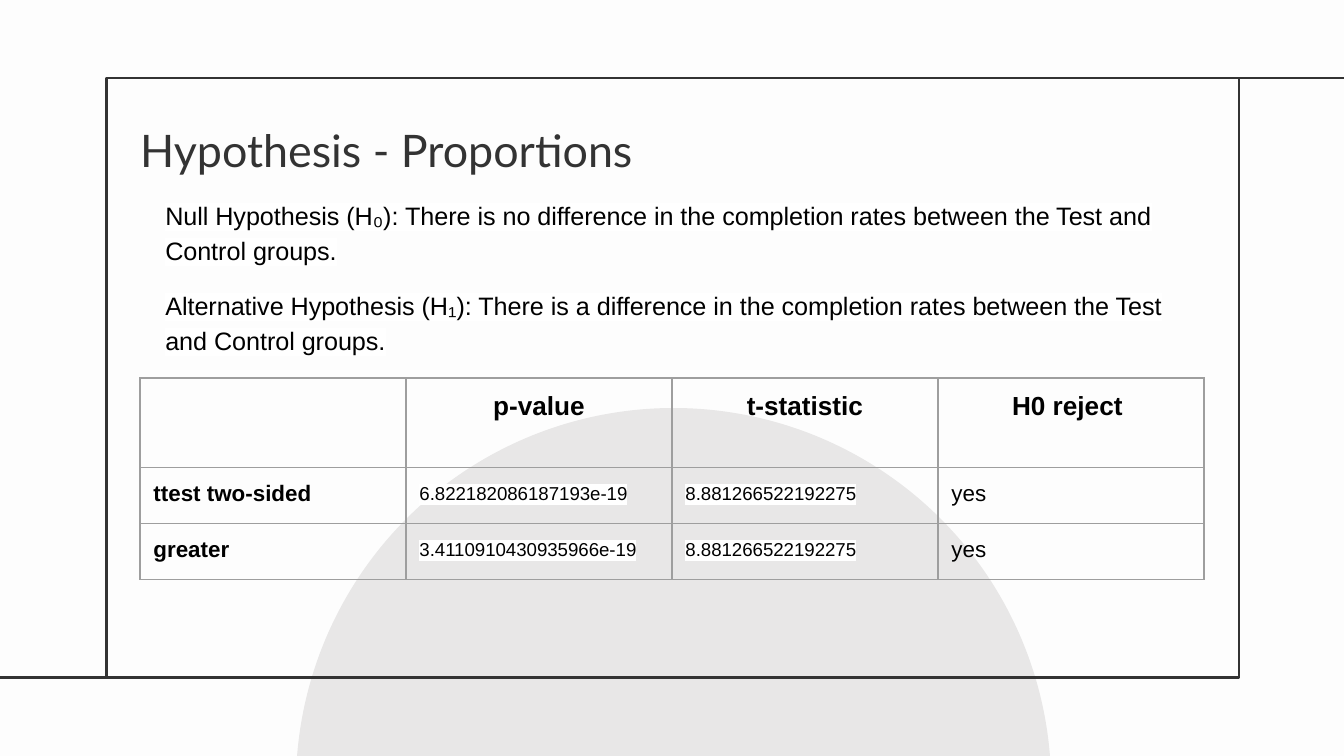
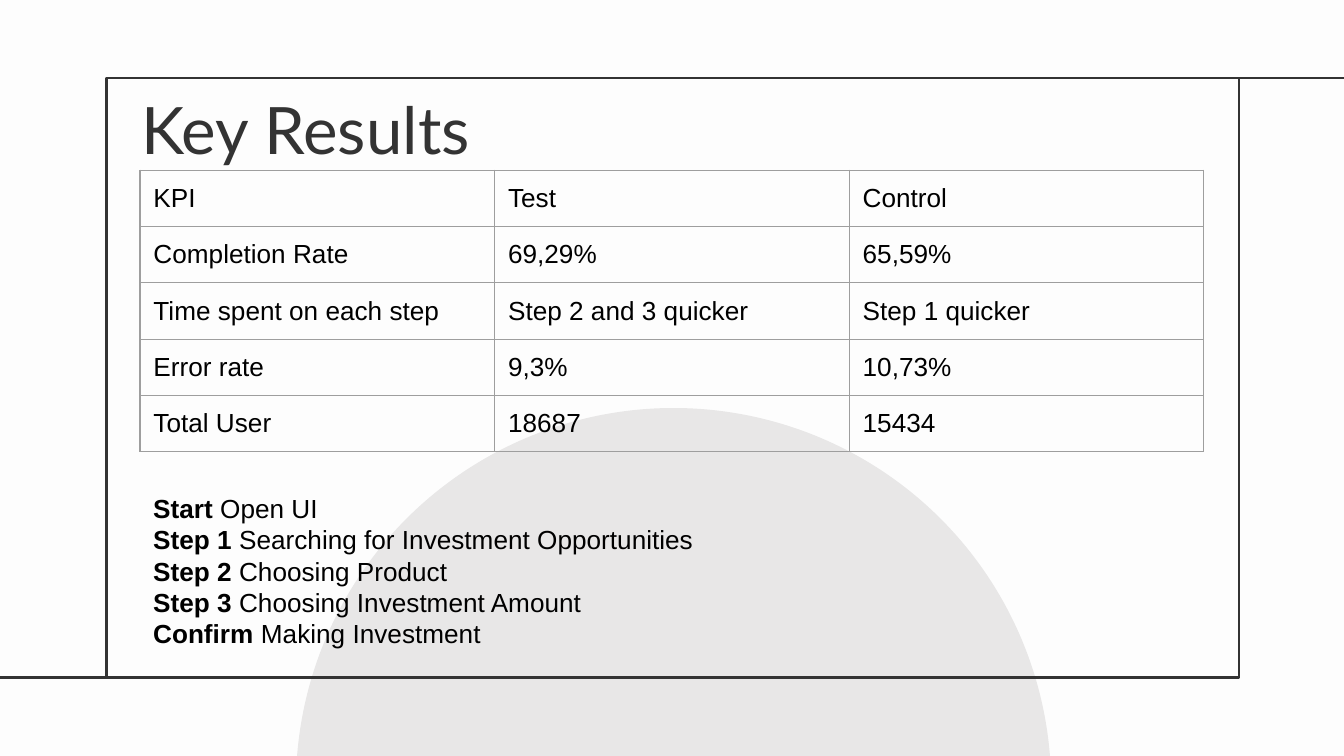
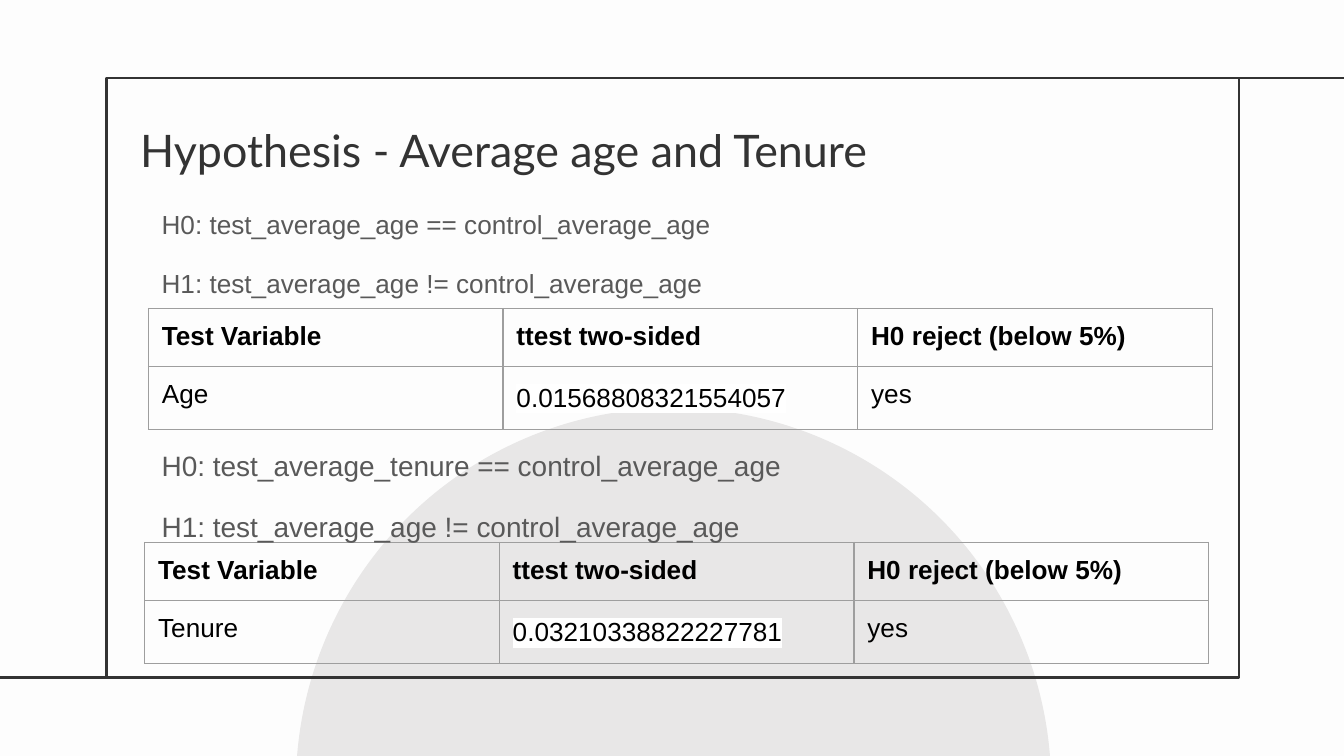
from lxml.etree import SubElement
from pptx import Presentation
from pptx.dml.color import RGBColor
from pptx.enum.shapes import MSO_CONNECTOR, MSO_SHAPE
from pptx.enum.text import MSO_AUTO_SIZE, PP_ALIGN
from pptx.oxml.ns import qn
from pptx.util import Pt

PAPER = RGBColor(0xFD, 0xFD, 0xFD)
CIRCLE = RGBColor(0xE8, 0xE7, 0xE7)
INK = RGBColor(0x33, 0x33, 0x33)
BLACK = RGBColor(0x00, 0x00, 0x00)
GRAY = RGBColor(0x59, 0x59, 0x59)
GRID = RGBColor(0x9E, 0x9E, 0x9E)
WHITE = RGBColor(0xFF, 0xFF, 0xFF)

WIDTH, HEIGHT = 720, 405
LEFT, TOP, RIGHT, BOTTOM = 57.2, 41.8, 663.8, 362.8
TABLE_WIDTH = 570
INSET = 7.2


def write(tf, lines, size=14, color=BLACK, font="Arial", bold=False,
          highlight=None, align=PP_ALIGN.LEFT, spacing=None, before=0, after=0):
    """Fill a text frame; a (lead, rest) line gets a bold lead.

    The gaps before and after apply to every line but the first.
    """
    tf.word_wrap = True
    for i, line in enumerate(lines):
        p = tf.add_paragraph() if i else tf.paragraphs[0]
        p.alignment = align
        p.line_spacing = spacing
        if i:
            p.space_before, p.space_after = Pt(before), Pt(after)
        runs = [(line, bold)] if isinstance(line, str) else zip(line, (True, False))
        for text, is_bold in runs:
            r = p.add_run()
            r.text = text
            r.font.size, r.font.bold = Pt(size), is_bold
            r.font.color.rgb = color
            if highlight is not None:
                mark = SubElement(r.font._element, qn("a:highlight"))
                SubElement(mark, qn("a:srgbClr"), val=str(highlight))
            r.font.name = font


def add_table(s, x, y, heights, rows, head, body):
    """Draw a ruled table; head formats the first row, body each column below."""
    columns = len(rows[0])
    table = s.shapes.add_table(len(rows), columns, Pt(x), Pt(y),
                               Pt(TABLE_WIDTH), Pt(sum(heights))).table
    table.first_row = table.horz_banding = False
    for column in table.columns:
        column.width = Pt(TABLE_WIDTH / columns)
    for i, (height, row) in enumerate(zip(heights, rows)):
        table.rows[i].height = Pt(height)
        for j, text in enumerate(row):
            cell = table.cell(i, j)
            cell.margin_left = cell.margin_right = Pt(INSET)
            cell.margin_top = cell.margin_bottom = Pt(INSET)
            for side in ("a:lnL", "a:lnR", "a:lnT", "a:lnB"):
                ln = SubElement(cell._tc.get_or_add_tcPr(), qn(side), w=str(Pt(0.75)))
                SubElement(SubElement(ln, qn("a:solidFill")), qn("a:srgbClr"), val=str(GRID))
            cell.fill.background()
            if text:
                write(cell.text_frame, [text], **(body[j] if i else head))


prs = Presentation()
prs.slide_width, prs.slide_height = Pt(WIDTH), Pt(HEIGHT)
fill = prs.slide_master.background.fill
fill.solid()
fill.fore_color.rgb = PAPER

# Circle and frame on every slide
for _ in range(3):
    s = prs.slides.add_slide(prs.slide_layouts[6])
    circle = s.shapes.add_shape(MSO_SHAPE.OVAL, Pt(158.5), Pt(218.6), Pt(404.6), Pt(404.6))
    circle.shadow.inherit = False
    circle.fill.solid()
    circle.fill.fore_color.rgb = CIRCLE
    circle.line.fill.background()
    frame = s.shapes.add_shape(MSO_SHAPE.RECTANGLE, Pt(LEFT), Pt(TOP),
                               Pt(RIGHT - LEFT), Pt(BOTTOM - TOP))
    frame.shadow.inherit = False
    frame.fill.background()
    frame.line.color.rgb, frame.line.width = INK, Pt(1.5)
    for start, end, y in ((WIDTH, RIGHT, TOP), (LEFT, 0, BOTTOM)):
        rule = s.shapes.add_connector(MSO_CONNECTOR.STRAIGHT, Pt(start), Pt(y), Pt(end), Pt(y))
        rule.line.color.rgb, rule.line.width = INK, Pt(1.5)
        SubElement(rule._element.spPr, qn("a:effectLst"))

proportions, results, averages = prs.slides

# Tables
bold = dict(bold=True)
number = dict(highlight=WHITE, spacing=1.15)
small_number = dict(number, size=10)
add_table(proportions, 75, 202.5, [48, 30, 30], [
    ("", "p-value", "t-statistic", "H0 reject "),
    ("ttest two-sided", "6.822182086187193e-19", "8.881266522192275", "yes"),
    ("greater", "3.4110910430935966e-19", "8.881266522192275", "yes"),
], dict(bold=True, align=PP_ALIGN.CENTER),
    [dict(bold=True, size=12), small_number, small_number, dict(size=12)])

add_table(results, 75, 91.2, [30] * 5, [
    ("KPI", "Test", "Control"),
    ("Completion Rate", "69,29%", "65,59%"),
    ("Time spent on each step", "Step 2 and 3 quicker", "Step 1 quicker"),
    ("Error rate", "9,3%", "10,73%"),
    ("Total User", "18687", "15434"),
], {}, [{}] * 3)

for x, y, variable, p_value in ((79.5, 165.2, "Age", "0.01568808321554057"),
                                (77.5, 290.6, "Tenure", "0.03210338822227781")):
    add_table(averages, x, y, [31, 33.8], [
        ("Test Variable", "ttest two-sided", "H0 reject (below 5%)"),
        (variable, p_value, "yes"),
    ], bold, [{}, number, {}])

# Titles and text
title = dict(size=24, color=INK, font="Lato")
statement = dict(color=GRAY, spacing=1.15, before=12, after=12)
for s, box, lines, style in (
    (proportions, (68, 58.5, 358, 44), ["Hypothesis - Proportions"], title),
    (proportions, (81.5, 98, 549, 130), [
        "Null Hypothesis (H₀): There is no difference in the completion rates "
        "between the Test and Control groups.",
        "Alternative Hypothesis (H₁): There is a difference in the completion rates "
        "between the Test and Control groups.",
    ], dict(size=13.5, highlight=WHITE, spacing=1.15, before=11)),
    (results, (75, 256.5, 474, 99), [
        ("Start ", "Open UI"),
        ("Step 1 ", "Searching for Investment Opportunities"),
        ("Step 2", " Choosing Product"),
        ("Step 3 ", "Choosing Investment Amount"),
        ("Confirm ", "Making Investment"),
    ], {}),
    (results, (68.5, 40.5, 638, 57), ["Key Results"], dict(title, size=35)),
    (averages, (68, 58.5, 531, 44), ["Hypothesis - Average age and Tenure"], title),
    (averages, (79.5, 102, 526, 63), [
        "H0: test_average_age == control_average_age",
        "H1: test_average_age != control_average_age",
    ], statement),
    (averages, (79.5, 230.5, 531, 65.5), [
        "H0: test_average_tenure == control_average_age",
        "H1: test_average_age != control_average_age",
    ], dict(statement, size=15)),
):
    tf = s.shapes.add_textbox(*map(Pt, box)).text_frame
    tf.margin_left = tf.margin_right = tf.margin_top = tf.margin_bottom = Pt(INSET)
    tf.auto_size = MSO_AUTO_SIZE.SHAPE_TO_FIT_TEXT
    write(tf, lines, **style)

prs.save("out.pptx")
